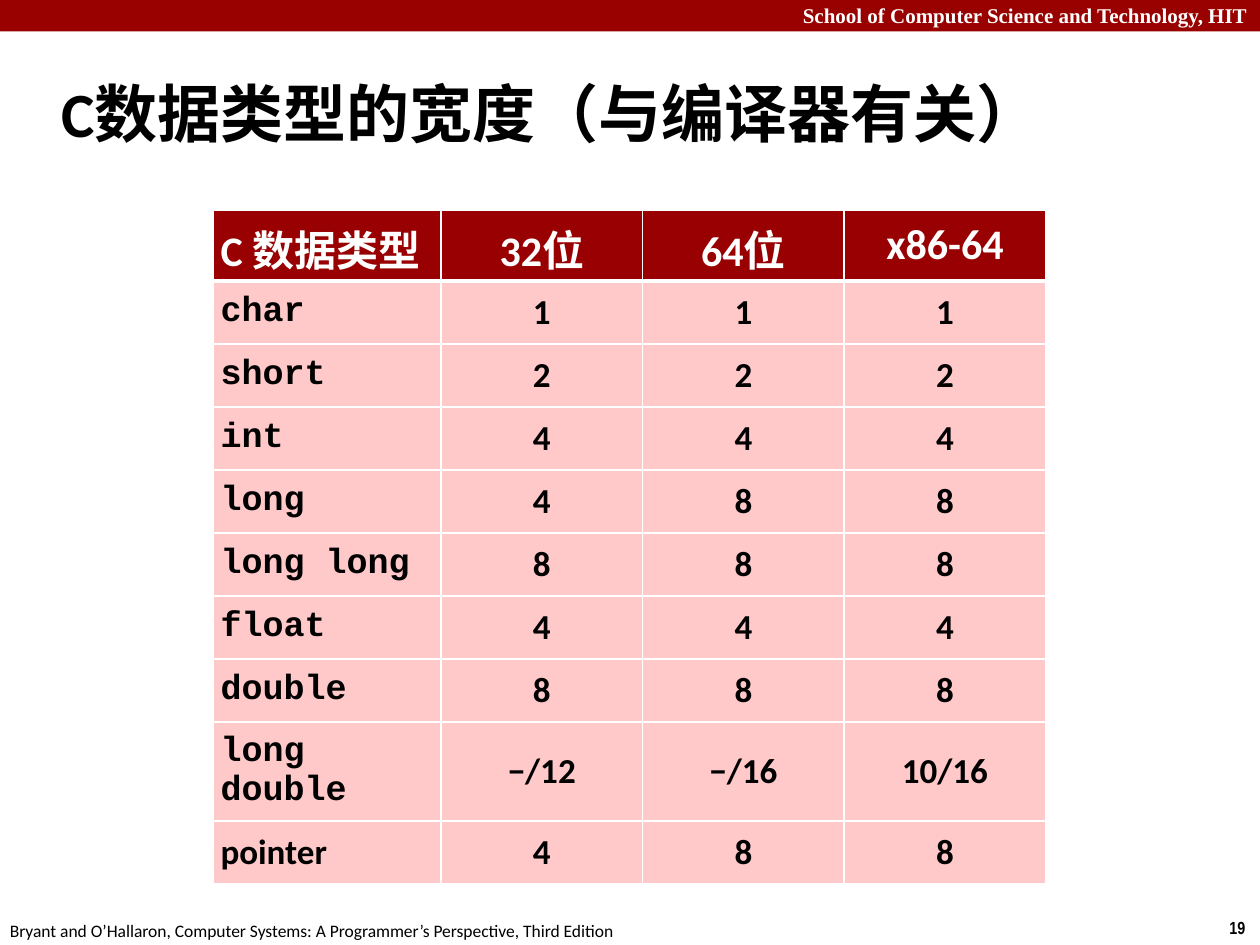
from dataclasses import dataclass

from lxml import etree
from pptx import Presentation
from pptx.dml.color import RGBColor
from pptx.enum.shapes import MSO_SHAPE
from pptx.enum.text import MSO_ANCHOR, MSO_AUTO_SIZE, PP_ALIGN
from pptx.oxml.ns import qn
from pptx.util import Inches, Pt

RECTANGLE = MSO_SHAPE.RECTANGLE
MIDDLE, TOP = MSO_ANCHOR.MIDDLE, MSO_ANCHOR.TOP
LEFT, CENTER, RIGHT = PP_ALIGN.LEFT, PP_ALIGN.CENTER, PP_ALIGN.RIGHT
GROW, FIXED = MSO_AUTO_SIZE.SHAPE_TO_FIT_TEXT, MSO_AUTO_SIZE.NONE

BLACK = RGBColor(0x00, 0x00, 0x00)
WHITE = RGBColor(0xFF, 0xFF, 0xFF)
BANNER_RED = RGBColor(0x99, 0x00, 0x00)
HEADER_RED = RGBColor(0x98, 0x00, 0x02)
PINK = RGBColor(0xFF, 0xC8, 0xC9)

SANS, MONO = "Calibri", "Courier New"
COLUMN_WIDTHS = (1.81, 1.6, 1.6, 1.6)
HEADER_HEIGHT, ROW_HEIGHT, CELL_MARGIN = 0.56, 0.5, 0.06
HEADINGS = ("C 数据类型", "32位", "64位", "x86-64")


@dataclass(frozen=True)
class TypeWidth:
    name: str
    bits32: str
    bits64: str
    x86_64: str
    name_font: str = MONO


TYPE_WIDTHS = (
    TypeWidth("char", "1", "1", "1"),
    TypeWidth("short", "2", "2", "2"),
    TypeWidth("int", "4", "4", "4"),
    TypeWidth("long", "4", "8", "8"),
    TypeWidth("long long", "8", "8", "8"),
    TypeWidth("float", "4", "4", "4"),
    TypeWidth("double", "8", "8", "8"),
    TypeWidth("long double", "−/12", "−/16", "10/16"),
    TypeWidth("pointer", "4", "8", "8", name_font=SANS),
)


def write_text(frame, text: str, *, size: float, font: str = SANS, color: RGBColor = BLACK,
               bold: bool = True, align=LEFT) -> None:
    paragraph = frame.paragraphs[0]
    paragraph.alignment = align
    run = paragraph.add_run()
    run.text = text
    run.font.name = font
    run.font.size = Pt(size)
    run.font.bold = bold
    run.font.color.rgb = color


def add_text_box(slide, left: float, top: float, width: float, height: float, text: str, *,
                 wrap: bool = True, auto_size=GROW, anchor=TOP, **text_format) -> None:
    box = slide.shapes.add_textbox(Inches(left), Inches(top), Inches(width), Inches(height))
    frame = box.text_frame
    frame.word_wrap = wrap
    frame.auto_size = auto_size
    frame.vertical_anchor = anchor
    write_text(frame, text, **text_format)


def set_borders(cell, **widths: float) -> None:
    """Give the cell white borders; widths are points by side tag."""
    properties = cell._tc.get_or_add_tcPr()
    for index, (side, width) in enumerate(widths.items()):
        line = etree.Element(qn(f"a:{side}"), w=str(Pt(width)))
        fill = etree.SubElement(line, qn("a:solidFill"))
        etree.SubElement(fill, qn("a:srgbClr"), val=str(WHITE))
        properties.insert(index, line)


def fill_cell(cell, text: str, fill: RGBColor, *, top: float = 1, bottom: float = 1,
              **text_format) -> None:
    cell.margin_left = cell.margin_right = Inches(CELL_MARGIN)
    cell.margin_top = cell.margin_bottom = Inches(CELL_MARGIN)
    cell.vertical_anchor = MIDDLE
    cell.fill.solid()
    cell.fill.fore_color.rgb = fill
    set_borders(cell, lnL=1, lnR=1, lnT=top, lnB=bottom)
    write_text(cell.text_frame, text, **text_format)


def add_width_table(slide) -> None:
    row_count = len(TYPE_WIDTHS) + 1
    height = HEADER_HEIGHT + ROW_HEIGHT * len(TYPE_WIDTHS)
    table = slide.shapes.add_table(row_count, len(COLUMN_WIDTHS), Inches(1.69), Inches(1.67),
                                   Inches(sum(COLUMN_WIDTHS)), Inches(height)).table
    table.horz_banding = False
    for column, width in zip(table.columns, COLUMN_WIDTHS):
        column.width = Inches(width)
    for index, row in enumerate(table.rows):
        row.height = Inches(ROW_HEIGHT if index else HEADER_HEIGHT)

    for column, heading in enumerate(HEADINGS):
        fill_cell(table.cell(0, column), heading, HEADER_RED, bottom=3, size=24, color=WHITE,
                  align=CENTER if column else LEFT)
    for row, entry in enumerate(TYPE_WIDTHS, start=1):
        top = 3 if row == 1 else 1
        fill_cell(table.cell(row, 0), entry.name, PINK, top=top, size=20, font=entry.name_font)
        for column, value in enumerate((entry.bits32, entry.bits64, entry.x86_64), start=1):
            fill_cell(table.cell(row, column), value, PINK, top=top, size=20, align=CENTER)


def add_banner(slide) -> None:
    banner = slide.shapes.add_shape(RECTANGLE, 0, 0, Inches(10), Inches(0.25))
    banner.shadow.inherit = False
    banner.fill.solid()
    banner.fill.fore_color.rgb = BANNER_RED
    banner.line.fill.background()
    add_text_box(slide, 0, -0.03, 10, 0.3, "School of Computer Science and Technology, HIT",
                 size=12, font="Times New Roman", color=WHITE, align=RIGHT)


def main() -> None:
    presentation = Presentation()
    presentation.slide_width = Inches(10)
    presentation.slide_height = Inches(7.5)
    slide = presentation.slides.add_slide(presentation.slide_layouts[6])

    add_banner(slide)
    add_text_box(slide, 9.66, 7.23, 0.34, 0.27, "19", wrap=False, size=10, font="Arial Narrow")
    add_text_box(slide, -0.02, 7.25, 5.08, 0.27,
                 "Bryant and O’Hallaron, Computer Systems: A Programmer’s Perspective, Third Edition",
                 wrap=False, size=10, bold=False)
    add_text_box(slide, 0.39, 0.48, 9.61, 0.83, "C数据类型的宽度（与编译器有关）",
                 auto_size=FIXED, anchor=MIDDLE, size=36)
    add_width_table(slide)
    presentation.save("out.pptx")


if __name__ == "__main__":
    main()
